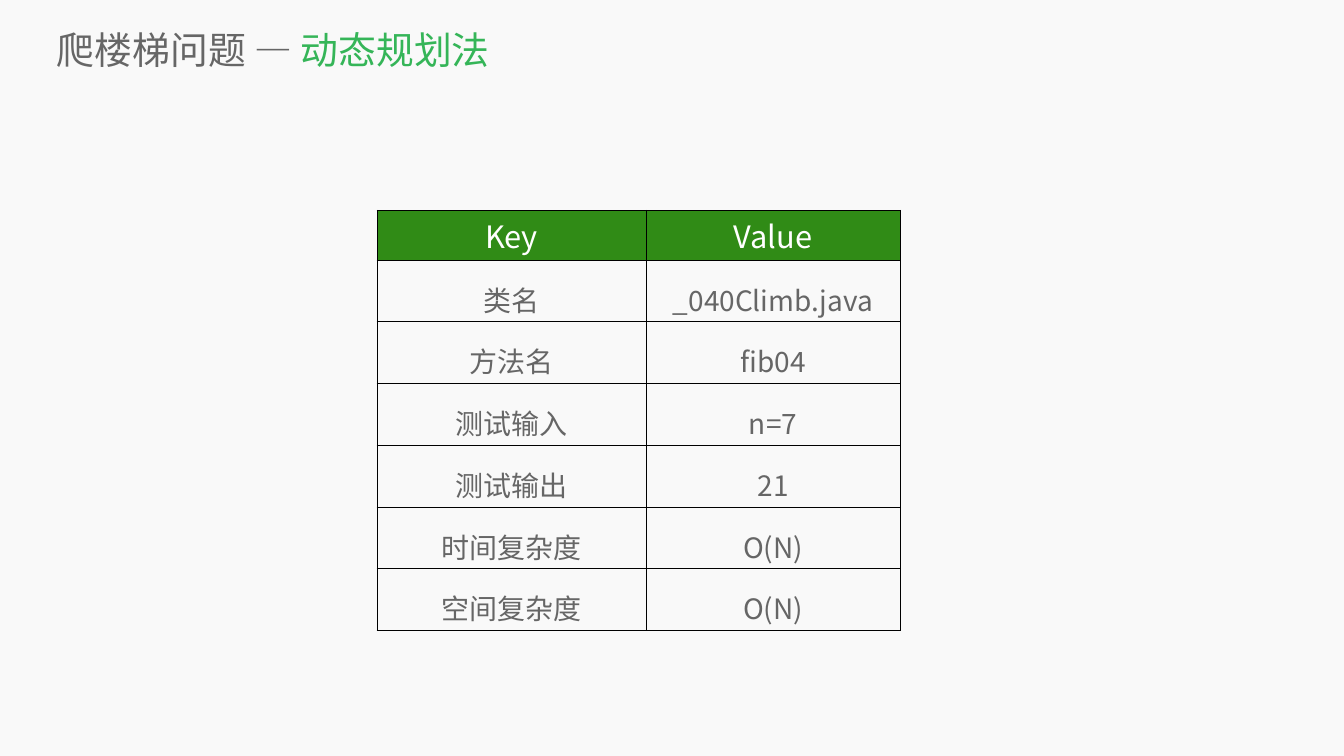
import pptx
import pptx.util
import pptx.dml.color
import pptx.enum.text
import pptx.oxml
import pptx.oxml.ns
from lxml import etree

Pt = pptx.util.Pt
RGBColor = pptx.dml.color.RGBColor
ALIGN = pptx.enum.text.PP_ALIGN
qn = pptx.oxml.ns.qn

FONT = "Noto Sans CJK SC"
PAPER = RGBColor(0xF9, 0xF9, 0xF9)
GRAY = RGBColor(0x66, 0x66, 0x66)
GREEN = RGBColor(0x35, 0xB5, 0x58)
HEAD = RGBColor(0x30, 0x8B, 0x16)
WHITE = RGBColor(0xFF, 0xFF, 0xFF)

ROWS = [
    ("Key", "Value"),
    ("类名", "_040Climb.java"),
    ("方法名", "fib04"),
    ("测试输入", "n=7"),
    ("测试输出", "21"),
    ("时间复杂度", "O(N)"),
    ("空间复杂度", "O(N)"),
]


def write(frame, text, size, color, align=ALIGN.LEFT, space=1.0):
    """Add a run to the first paragraph of the frame."""
    para = frame.paragraphs[0]
    para.alignment = align
    para.line_spacing = space
    run = para.add_run()
    run.text = text
    run.font.size = Pt(size)
    run.font.bold = False
    run.font.color.rgb = color
    run.font.name = FONT
    etree.SubElement(run.font._element, qn("a:ea"), typeface=FONT)


def frame_cell(cell):
    """Draw a thin black line on all four sides of the cell."""
    props = cell._tc.get_or_add_tcPr()
    for side in ("lnL", "lnR", "lnT", "lnB"):
        line = etree.SubElement(props, qn(f"a:{side}"), w=str(Pt(1)))
        fill = etree.SubElement(line, qn("a:solidFill"))
        etree.SubElement(fill, qn("a:srgbClr"), val="000000")


deck = pptx.Presentation()
deck.slide_width = pptx.util.Inches(26.67)
deck.slide_height = pptx.util.Inches(15)
wide, high = deck.slide_width, deck.slide_height

slide = deck.slides.add_slide(deck.slide_layouts[5])
slide.background.fill.solid()
slide.background.fill.fore_color.rgb = PAPER

# Title
title = slide.shapes.title
title.left, title.top = int(wide * 0.0424), int(high * 0.0313)
title.width, title.height = int(wide * 0.9434), int(high * 0.068)
frame = title.text_frame
frame.margin_left = frame.margin_right = 0
frame.margin_top = frame.margin_bottom = 0
frame.vertical_anchor = pptx.enum.text.MSO_ANCHOR.MIDDLE
frame.auto_size = pptx.enum.text.MSO_AUTO_SIZE.NONE
frame.word_wrap = True
write(frame, "爬楼梯问题 — ", size=54, color=GRAY)
write(frame, "动态规划法", size=54, color=GREEN)

# Table of the test case and its costs
cols = [int(wide * 0.2002), int(wide * 0.189)]
tops = [int(high * 0.066)] + [int(high * 0.0727)] * (len(ROWS) - 1)
table = slide.shapes.add_table(
    len(ROWS), len(cols), int(wide * 0.2805), int(high * 0.278), sum(cols), sum(tops)
).table
table.first_row = table.horz_banding = False
for col, size in zip(table.columns, cols):
    col.width = size
for r, (row, size) in enumerate(zip(ROWS, tops)):
    table.rows[r].height = size
    for c, text in enumerate(row):
        cell = table.cell(r, c)
        frame_cell(cell)
        if r == 0:
            cell.fill.solid()
            cell.fill.fore_color.rgb = HEAD
            write(cell.text_frame, text, size=44, color=WHITE, align=ALIGN.CENTER)
        else:
            cell.fill.background()
            write(cell.text_frame, text, size=40, color=GRAY, align=ALIGN.CENTER, space=1.4)

deck.save("out.pptx")
